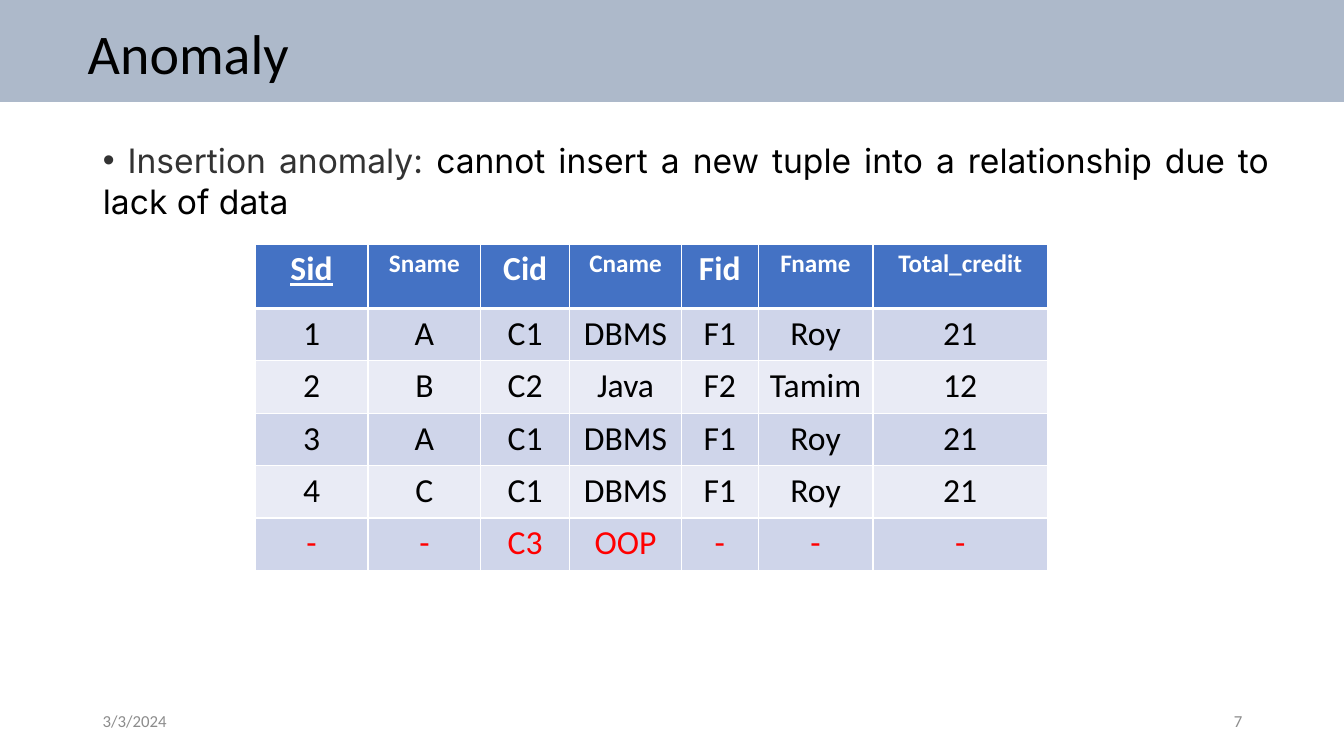
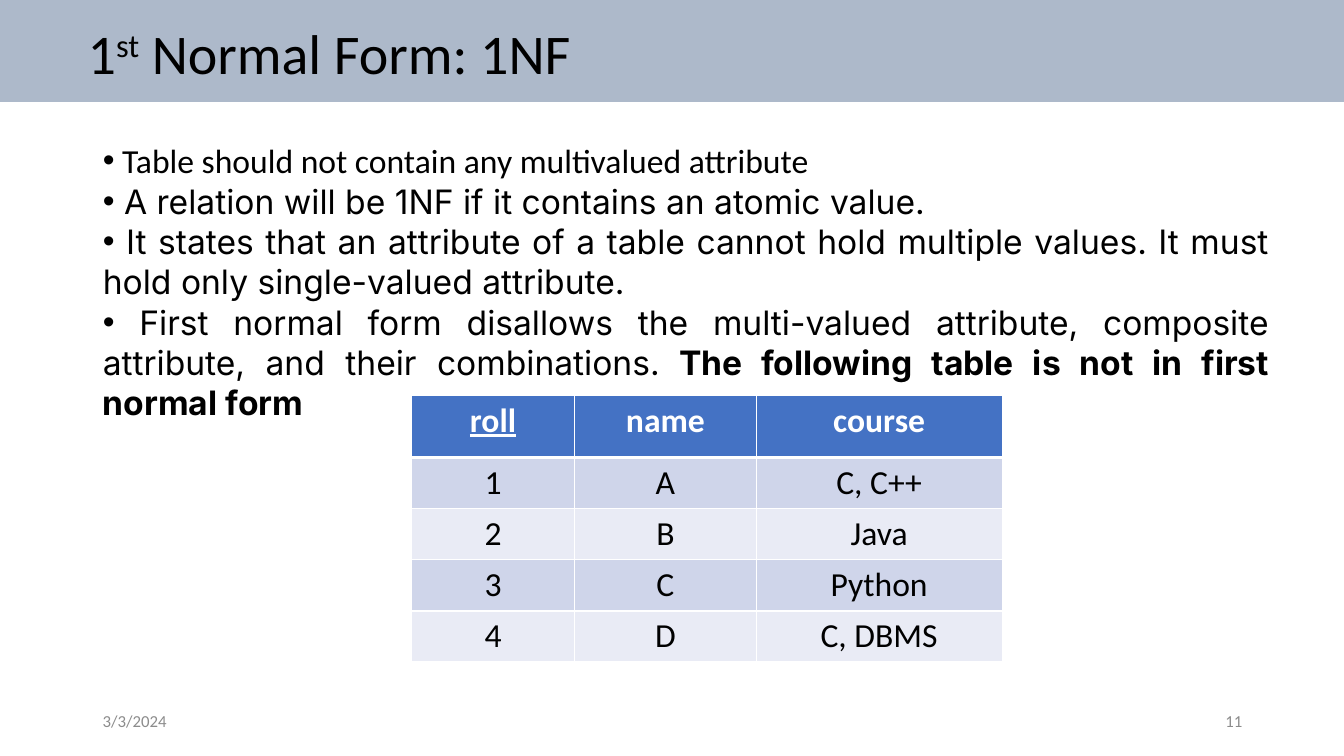
import pptx
import pptx.dml.color
import pptx.enum.shapes
import pptx.enum.text
import pptx.oxml
import pptx.oxml.ns
import pptx.util

Inches = pptx.util.Inches
Pt = pptx.util.Pt
ALIGN = pptx.enum.text.PP_ALIGN
ANCHOR = pptx.enum.text.MSO_ANCHOR

COLORS = {
    "band": "ADB9CA", "text": "000000", "term": "333333", "footer": "8C8C8C",
    "header": "4472C4", "odd row": "CFD5EA", "even row": "E9EBF5",
    "white": "FFFFFF", "missing": "FF0000",
}
DATE = "3/3/2024"

# Each span is a text and the ways in which it differs from the usual style.
PAGES = [
    {
        "number": "7",
        "title": [("Anomaly", {})],
        "body": [
            [(" Insertion anomaly: ", {"color": "term"}),
             ("cannot insert a new tuple into a relationship due to lack of data", {})],
        ],
        "body height": 0.9,
        "table": {
            "left": 2.53, "top": 2.42,
            "widths": [1.12, 1.12, 0.88, 1.11, 0.76, 1.14, 1.73],
            "header height": 0.64, "row height": 0.52,
            "header sizes": [24, 18, 24, 18, 24, 18, 18],
            "rows": [
                ["Sid", "Sname", "Cid", "Cname", "Fid", "Fname", "Total_credit"],
                ["1", "A", "C1", "DBMS", "F1", "Roy", "21"],
                ["2", "B", "C2", "Java", "F2", "Tamim", "12"],
                ["3", "A", "C1", "DBMS", "F1", "Roy", "21"],
                ["4", "C", "C1", "DBMS", "F1", "Roy", "21"],
                ["-", "-", "C3", "OOP", "-", "-", "-"],
            ],
        },
    },
    {
        "number": "11",
        "title": [("1", {}), ("st", {"raised": True}), (" Normal Form: 1NF", {})],
        "body": [
            [(" Table should not contain any multivalued attribute", {"font": "Calibri"})],
            [(" A relation will be 1NF if it contains an atomic value.", {})],
            [(" It states that an attribute of a table cannot hold multiple values. "
              "It must hold only single-valued attribute.", {})],
            [(" First normal form disallows the multi-valued attribute, composite "
              "attribute, and their combinations.", {}),
             (" The following table is not in first normal form", {"bold": True})],
        ],
        "body height": 3.33,
        "table": {
            "left": 4.08, "top": 3.92,
            "widths": [1.62, 1.8, 2.44],
            "header height": 0.62, "row height": 0.5,
            "header sizes": [24, 24, 24],
            "rows": [
                ["roll", "name", "course"],
                ["1", "A", "C, C++"],
                ["2", "B", "Java"],
                ["3", "C", "Python"],
                ["4", "D", "C, DBMS"],
            ],
        },
    },
]


def write_spans(para, spans, size, font="Calibri", color="text", align=ALIGN.JUSTIFY):
    para.alignment = align
    para.line_spacing = 1.0
    para.space_before = para.space_after = Pt(0)
    for text, style in spans:
        span = para.add_run()
        span.text = text
        span.font.size = Pt(size)
        span.font.name = style.get("font", font)
        span.font.bold = style.get("bold", False)
        span.font.underline = style.get("underline", False)
        span.font.color.rgb = pptx.dml.color.RGBColor.from_string(
            COLORS[style.get("color", color)])
        if style.get("raised"):
            span._r.get_or_add_rPr().set("baseline", "30000")


def place_frame(box, left, top, width, height, anchor=ANCHOR.TOP):
    """Move a text shape and return its text frame, set to wrap at a fixed size."""
    box.left, box.top = Inches(left), Inches(top)
    box.width, box.height = Inches(width), Inches(height)
    frame = box.text_frame
    frame.word_wrap = True
    frame.auto_size = pptx.enum.text.MSO_AUTO_SIZE.NONE
    frame.vertical_anchor = anchor
    return frame


deck = pptx.Presentation()
deck.slide_width, deck.slide_height = Inches(13.33), Inches(7.5)
content_layout = deck.slide_layouts[1]

for content in PAGES:
    page = deck.slides.add_slide(content_layout)

    # Band, behind the title
    band = page.shapes.add_shape(
        pptx.enum.shapes.MSO_SHAPE.RECTANGLE, 0, 0, deck.slide_width, Inches(1.01))
    band.shadow.inherit = False
    band.fill.solid()
    band.fill.fore_color.rgb = pptx.dml.color.RGBColor.from_string(COLORS["band"])
    band.line.fill.background()
    page.shapes._spTree.insert(2, band._element)

    # Title
    frame = place_frame(page.shapes.title, 0.77, 0.13, 12.47, 0.77)
    write_spans(frame.paragraphs[0], content["title"], 40)

    # Bulleted list
    frame = place_frame(page.placeholders[1], 0.92, 1.34, 11.77, content["body height"])
    for index, spans in enumerate(content["body"]):
        para = frame.add_paragraph() if index else frame.paragraphs[0]
        write_spans(para, spans, 24, font="Inter")
        properties = para._p.get_or_add_pPr()
        properties.set("marL", "0")
        properties.set("indent", "0")
        bullet = pptx.oxml.parse_xml(
            f'<a:buChar {pptx.oxml.ns.nsdecls("a")} char="•"/>')
        properties.append(bullet)

    # Date and page number
    for text, left, align in ((DATE, 0.92, ALIGN.LEFT),
                              (content["number"], 9.42, ALIGN.RIGHT)):
        box = page.shapes.add_textbox(0, 0, 0, 0)
        frame = place_frame(box, left, 6.95, 3, 0.4, ANCHOR.MIDDLE)
        write_spans(frame.paragraphs[0], [(text, {})], 12, color="footer", align=align)

    # Table
    layout = content["table"]
    rows, widths = layout["rows"], layout["widths"]
    heights = [layout["header height"]] + [layout["row height"]] * (len(rows) - 1)
    table = page.shapes.add_table(
        len(rows), len(widths), Inches(layout["left"]), Inches(layout["top"]),
        Inches(sum(widths)), Inches(sum(heights))).table
    for column, width in zip(table.columns, widths):
        column.width = Inches(width)
    for row_index, (values, height) in enumerate(zip(rows, heights)):
        table.rows[row_index].height = Inches(height)
        is_header = row_index == 0
        if is_header:
            fill, color = "header", "white"
        else:
            fill = "odd row" if row_index % 2 else "even row"
            color = "missing" if values[0] == "-" else "text"
        for column_index, value in enumerate(values):
            cell = table.cell(row_index, column_index)
            size = layout["header sizes"][column_index] if is_header else 24
            style = {"bold": is_header, "underline": is_header and column_index == 0}
            write_spans(cell.text_frame.paragraphs[0], [(value, style)], size,
                        color=color, align=ALIGN.CENTER)
            for side in ("L", "R", "T", "B"):
                under_header = (is_header and side == "B") or (row_index == 1 and side == "T")
                line_width = Pt(3 if under_header else 1)
                cell._tc.get_or_add_tcPr().append(pptx.oxml.parse_xml(
                    f'<a:ln{side} {pptx.oxml.ns.nsdecls("a")} w="{line_width}"><a:solidFill>'
                    f'<a:srgbClr val="{COLORS["white"]}"/></a:solidFill></a:ln{side}>'))
            cell.fill.solid()
            cell.fill.fore_color.rgb = pptx.dml.color.RGBColor.from_string(COLORS[fill])

deck.save("out.pptx")
